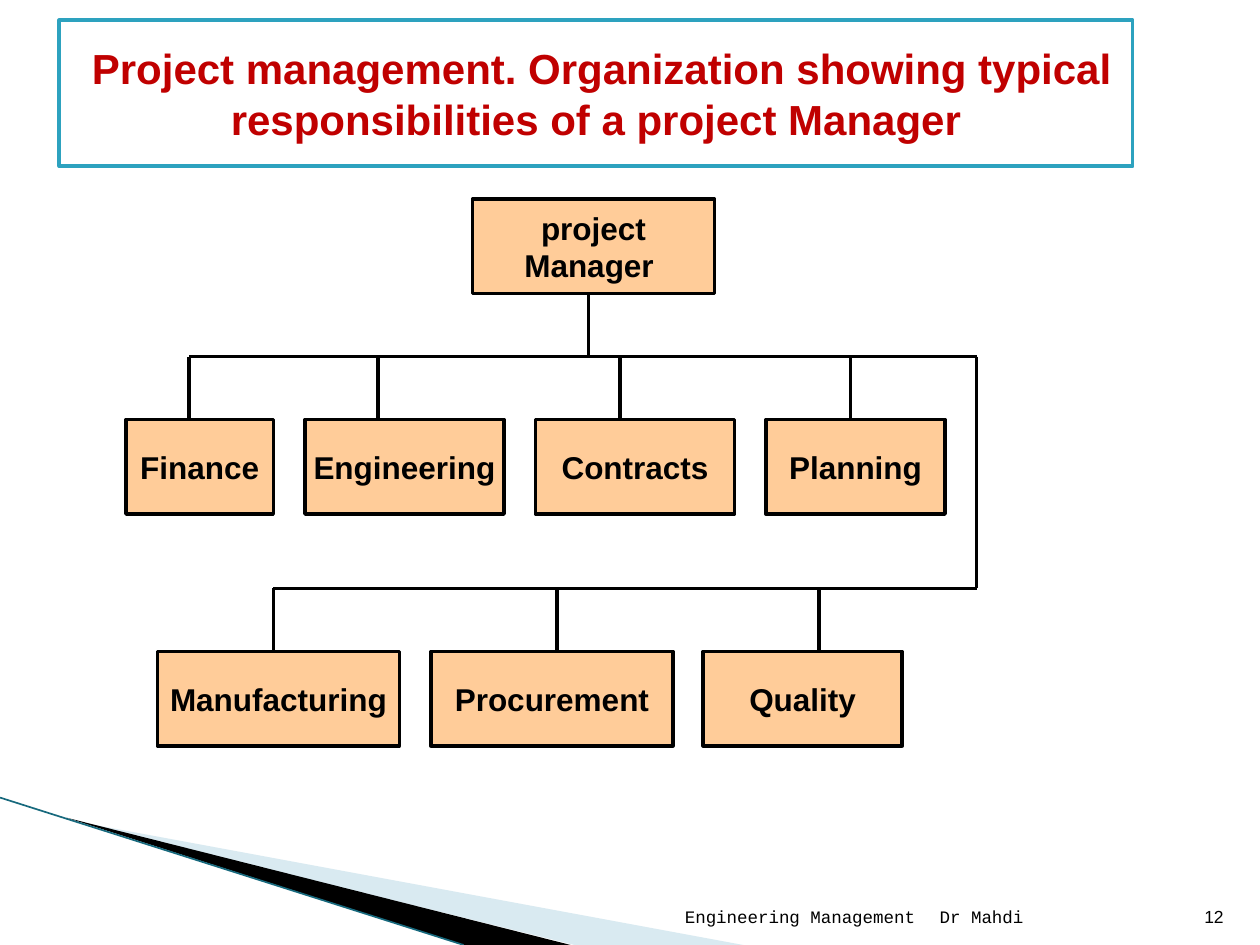
from lxml import etree
from pptx import Presentation
from pptx.dml.color import RGBColor
from pptx.enum import shapes, text
from pptx.oxml.ns import qn
from pptx.util import Inches, Pt

BLACK = RGBColor(0, 0, 0)
WHITE = RGBColor(0xFF, 0xFF, 0xFF)
PEACH = RGBColor(0xFF, 0xCC, 0x99)
TEAL = RGBColor(0x2D, 0xA2, 0xBF)
DARK_TEAL = RGBColor(0x17, 0x69, 0x7D)
PALE_BLUE = RGBColor(0xA0, 0xCB, 0xDC)
RED = RGBColor(0xC0, 0, 0)

BOX_HEIGHT = 0.75
DROP = 0.5
TRUNK_X = 7.75
DEPARTMENT_ROWS = [
    (2.83, 1.5, [("Finance", 1, 1.17, 1.5), ("Engineering", 2.42, 1.58, 3),
                 ("Contracts", 4.25, 1.58, 4.92), ("Planning", 6.08, 1.42, 6.75)]),
    (4.67, 2.17, [("Manufacturing", 1.25, 1.92, 2.17), ("Procurement", 3.42, 1.92, 4.42),
                  ("Quality", 5.58, 1.58, 6.5)]),
]


def add_line(slide, start, end, color=BLACK, width=2):
    """Draw a straight line without a shadow."""
    line = slide.shapes.add_connector(
        shapes.MSO_CONNECTOR.STRAIGHT, *(Inches(value) for value in (*start, *end)))
    line.line.color.rgb = color
    line.line.width = Pt(width)
    etree.SubElement(line._element.spPr, qn("a:effectLst"))


def add_box(slide, box, lines, fill=PEACH, outline=BLACK, color=BLACK, size=18):
    """Draw an outlined rectangle with centred bold right-to-left paragraphs."""
    rectangle = slide.shapes.add_shape(
        shapes.MSO_SHAPE.RECTANGLE, *(Inches(value) for value in box))
    rectangle.shadow.inherit = False
    rectangle.fill.solid()
    rectangle.fill.fore_color.rgb = fill
    rectangle.line.color.rgb = outline
    rectangle.line.width = Pt(2)
    frame = rectangle.text_frame
    frame.word_wrap = False
    frame.vertical_anchor = text.MSO_ANCHOR.MIDDLE
    frame.text = "\n".join(lines)
    for paragraph in frame.paragraphs:
        paragraph.alignment = text.PP_ALIGN.CENTER
        paragraph._p.get_or_add_pPr().set("rtl", "1")
        paragraph.font.name = "Arial"
        paragraph.font.size = Pt(size)
        paragraph.font.bold = True
        paragraph.font.color.rgb = color


def add_wedge(slide, points, color, opacity=100):
    """Fill a closed outline through the given points."""
    outline = [(Inches(x), Inches(y)) for x, y in points]
    builder = slide.shapes.build_freeform(*outline[0])
    builder.add_line_segments(outline[1:], close=True)
    wedge = builder.convert_to_shape()
    wedge.shadow.inherit = False
    wedge.fill.solid()
    wedge.fill.fore_color.rgb = color
    wedge.line.fill.background()
    if opacity < 100:
        tone = wedge._element.spPr.find(".//" + qn("a:srgbClr"))
        etree.SubElement(tone, qn("a:alpha")).set("val", str(opacity * 1000))


def add_corner(slide, left, top):
    """Draw the wedges and edge line that sweep across the lower left corner."""
    bottom = top + 1.17
    add_wedge(slide, [(left + 0.55, top + 0.18), (left + 5.9, bottom), (left + 4.56, bottom)],
              PALE_BLUE, 40)
    add_wedge(slide, [(left + 0.53, top + 0.16), (left + 4.53, bottom), (left + 3.68, bottom)],
              BLACK)
    add_line(slide, (left, top), (left + 3.68, bottom), DARK_TEAL, 0.95)


def add_department_row(slide, bar_y, bar_left, departments):
    """Hang a row of department boxes from a horizontal bar."""
    add_line(slide, (bar_left, bar_y), (TRUNK_X, bar_y))
    for name, left, width, drop_x in departments:
        add_line(slide, (drop_x, bar_y), (drop_x, bar_y + DROP))
        add_box(slide, (left, bar_y + DROP, width, BOX_HEIGHT), [name])


def add_chart_tree(slide, left, top):
    """Draw the manager box, the trunk and both department rows."""
    add_box(slide, (left, top, 1.92, BOX_HEIGHT), ["project", " Manager"])
    stem_x, stem_y = left + 0.92, top + BOX_HEIGHT
    add_line(slide, (stem_x, stem_y), (stem_x, stem_y + DROP))
    add_line(slide, (TRUNK_X, DEPARTMENT_ROWS[0][0]), (TRUNK_X, DEPARTMENT_ROWS[1][0]))
    for row in DEPARTMENT_ROWS:
        add_department_row(slide, *row)


def add_footer(slide, top):
    """Place the course, lecturer and page number along the bottom."""
    for words, left, width, alignment, font in [
        ("Engineering Management", 4.79, 2.57, text.PP_ALIGN.RIGHT, "Courier New"),
        ("Dr Mahdi", 7.36, 2.1, text.PP_ALIGN.LEFT, "Courier New"),
        ("12", 9.46, 0.4, text.PP_ALIGN.LEFT, "Arial"),
    ]:
        label = slide.shapes.add_textbox(Inches(left), Inches(top), Inches(width), Inches(0.4))
        frame = label.text_frame
        frame.word_wrap = True
        frame.vertical_anchor = text.MSO_ANCHOR.BOTTOM
        frame.text = words
        paragraph = frame.paragraphs[0]
        paragraph.alignment = alignment
        paragraph.font.name = font
        paragraph.font.size = Pt(10)
        paragraph.font.color.rgb = BLACK


def main():
    """Build and save the slide."""
    deck = Presentation()
    deck.slide_width, deck.slide_height = Inches(10), Inches(7.5)
    slide = deck.slides.add_slide(deck.slide_layouts[6])
    add_corner(slide, 0, 6.33)
    add_chart_tree(slide, 3.75, 1.58)
    add_box(slide, (0.47, 0.16, 8.52, 1.16),
            ["Project management. Organization showing typical ",
             "responsibilities of a project Manager"],
            fill=WHITE, outline=TEAL, color=RED, size=24)
    add_footer(slide, 7.01)
    deck.save("out.pptx")


main()
